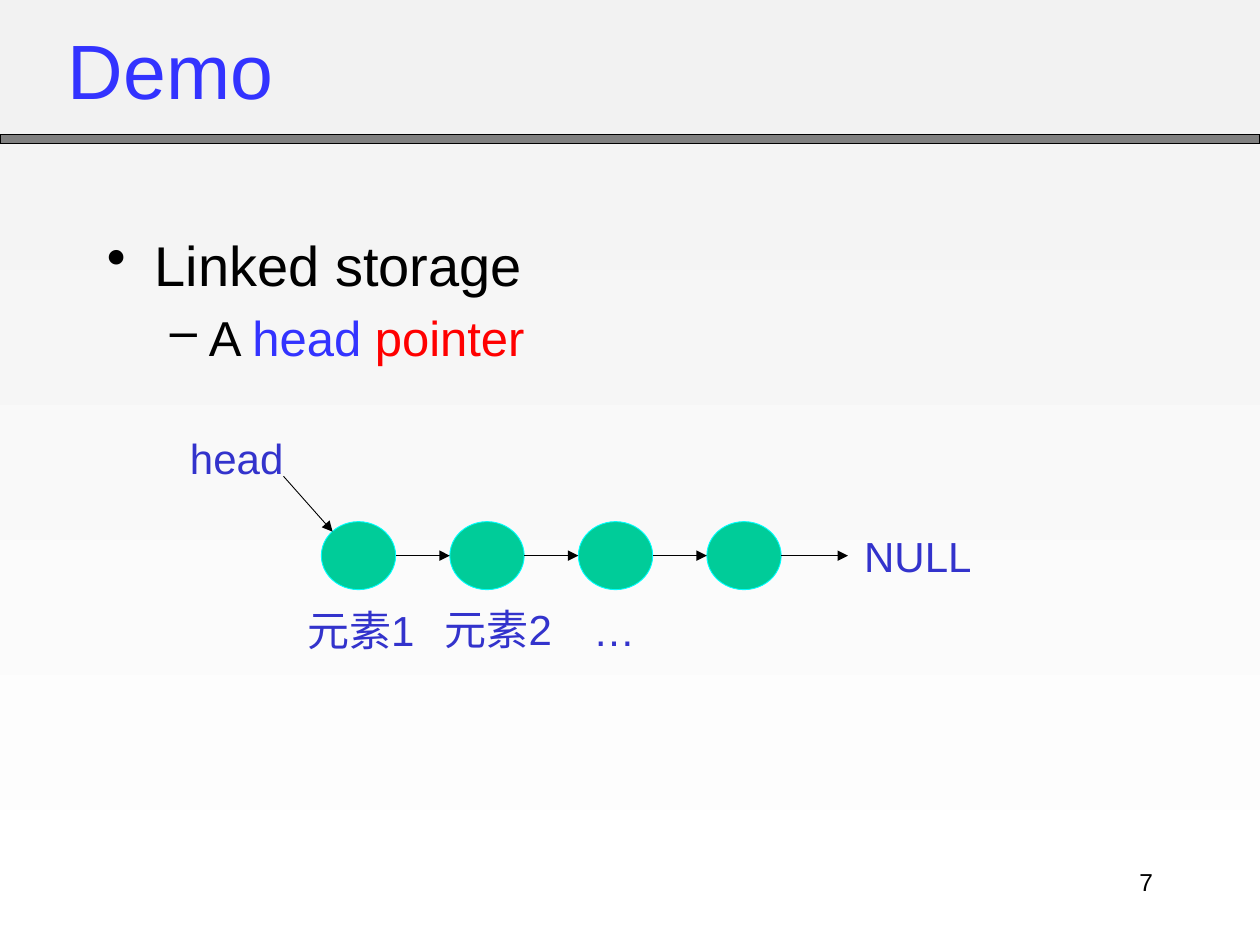
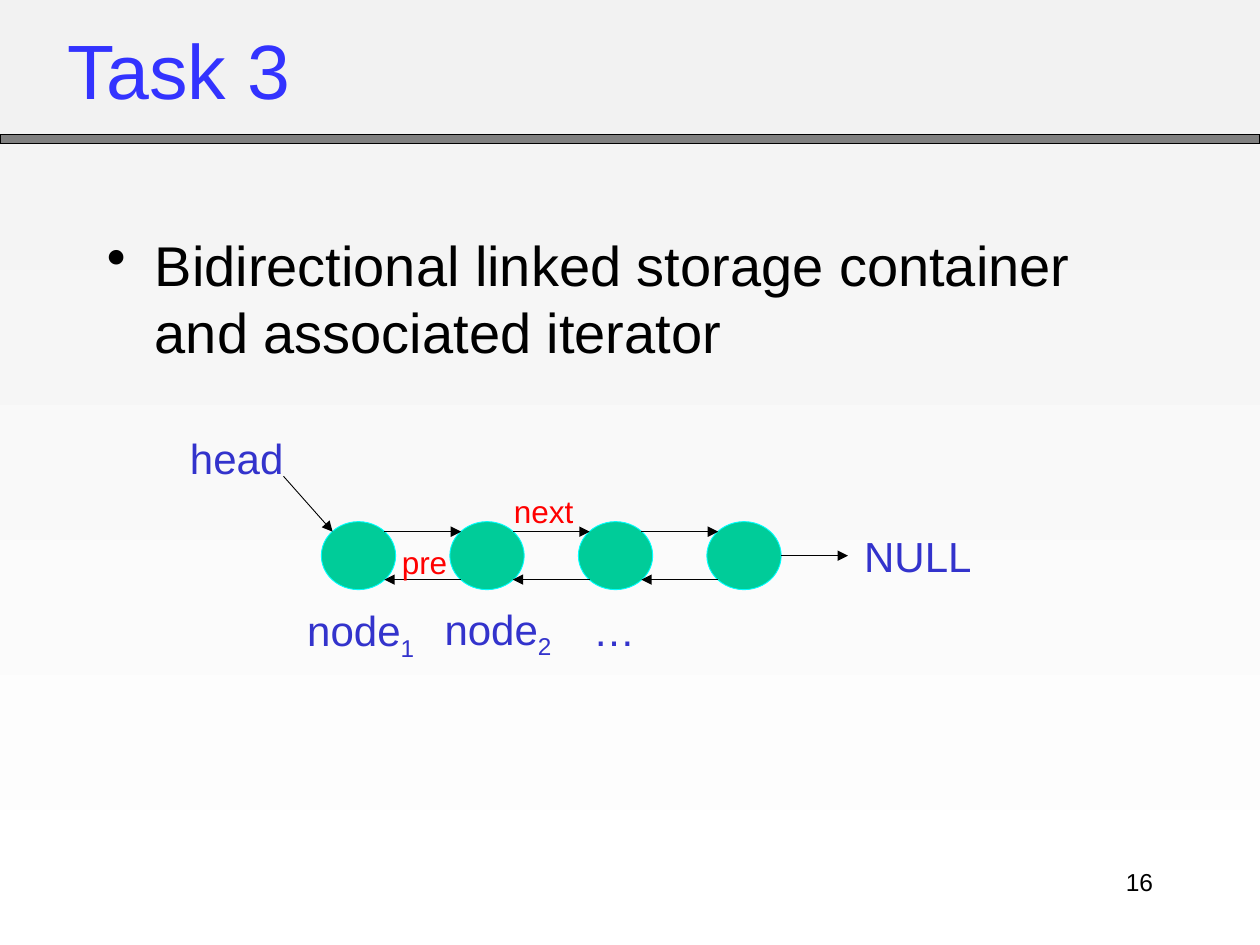
"""Two slides on linked storage, each with a chain of nodes."""
from dataclasses import dataclass

from lxml.etree import SubElement as Sub
from pptx import Presentation
from pptx.dml.color import RGBColor as Rgb
from pptx.enum.shapes import MSO_CONNECTOR as Conn, MSO_SHAPE as Kind
from pptx.enum.text import MSO_ANCHOR as Anchor, MSO_AUTO_SIZE as Fit, PP_ALIGN as Align
from pptx.oxml.ns import qn
from pptx.util import Inches, Pt


@dataclass(frozen=True)
class Theme:
    font: str = "Arial"
    black: str = "000000"
    blue: str = "3333FF"
    label: str = "3333CC"
    red: str = "FF0000"
    band: str = "808080"
    node: str = "00CC99"
    rim: str = "00FFFF"
    fade: tuple = ("F2F2F2", "FFFFFF")
    title: int = 44
    body: int = 32
    sub: int = 28
    name: int = 24
    tag: int = 18
    page: int = 14
    thin: float = 0.5


T = Theme()

SLIDES = [
    dict(
        title="Demo", page="7", double=False,
        points=[(0, [("Linked storage",)]),
                (1, [("A ",), ("head ", T.blue), ("pointer", T.red)])],
        names=[[("元素1",)], [("元素2",)], [("…",)]],
        tags=[],
    ),
    dict(
        title="Task 3", page="16", double=True,
        points=[(0, [("Bidirectional linked storage container and associated iterator",)])],
        names=[[("node",), ("1", T.label, -25)], [("node",), ("2", T.label, -25)], [("…",)]],
        tags=[("next", 3.98, 3.86), ("pre", 3.09, 4.26)],
    ),
]

LEVELS = [("•", 0.38, -0.38, T.body), ("–", 0.81, -0.31, T.sub)]
COUNT, LEFT, TOP, STEP = 4, 2.55, 4.14, 1.02
WIDE, HIGH = 0.59, 0.54
INSET, RISE = 0.09, 0.19
MID = TOP + HIGH / 2
NAMES = [(2.34, 4.75), (3.43, 4.74), (4.61, 4.75)]
LABEL, TAG = (1.33, 0.51), (0.69, 0.4)


def inches(box):
    return [Inches(n) for n in box]


def bullet(para, level):
    sign, margin, indent, _ = LEVELS[level]
    props = para._p.get_or_add_pPr()
    props.set("marL", str(Inches(margin)))
    props.set("indent", str(Inches(indent)))
    Sub(Sub(props, qn("a:spcBef")), qn("a:spcPct")).set("val", "20000")
    Sub(props, qn("a:buChar")).set("char", sign)


def write(slide, box, paras, size=T.name, color=T.label, align=Align.LEFT,
          anchor=Anchor.TOP, grow=False):
    frame = slide.shapes.add_textbox(*inches(box)).text_frame
    frame.word_wrap = True
    frame.vertical_anchor = anchor
    frame.auto_size = Fit.SHAPE_TO_FIT_TEXT if grow else Fit.NONE
    for num, (level, runs) in enumerate(paras):
        para = frame.add_paragraph() if num else frame.paragraphs[0]
        para.alignment = align
        if level is not None:
            bullet(para, level)
        for words, tint, base in ((*run, color, 0)[:3] if len(run) == 1
                                  else (*run, 0)[:3] for run in runs):
            run = para.add_run()
            run.text = words
            font = run.font
            font.name = T.font
            font.size = Pt(size if level is None else LEVELS[level][3])
            font.color.rgb = Rgb.from_string(tint)
            if base:
                font._element.set("baseline", str(base * 1000))


def label(slide, spot, runs, area=LABEL, **style):
    write(slide, (*spot, *area), [(None, runs)], grow=True, **style)


def shape(slide, kind, box, fill, line, width):
    part = slide.shapes.add_shape(kind, *inches(box))
    part.shadow.inherit = False
    part.fill.solid()
    part.fill.fore_color.rgb = Rgb.from_string(fill)
    part.line.color.rgb = Rgb.from_string(line)
    part.line.width = Pt(width)


def arrow(slide, *ends):
    link = slide.shapes.add_connector(Conn.STRAIGHT, *inches(ends))
    link.line.color.rgb = Rgb.from_string(T.black)
    link.line.width = Pt(T.thin)
    Sub(link.line._get_or_add_ln(), qn("a:tailEnd")).set("type", "triangle")
    Sub(link._element.spPr, qn("a:effectLst"))


def frame(slide, title, page):
    fill = slide.background.fill
    fill.gradient()
    fill.gradient_angle = 270
    for stop, tint in zip(fill.gradient_stops, T.fade):
        stop.color.rgb = Rgb.from_string(tint)
    shape(slide, Kind.RECTANGLE, (0, 1.07, 10, 0.07), T.band, T.black, 0.75)
    write(slide, (0.44, 0.1, 8.5, 0.89), [(None, [(title,)])],
          size=T.title, color=T.blue, anchor=Anchor.MIDDLE)
    write(slide, (7.17, 6.83, 2.08, 0.5), [(None, [(page,)])],
          size=T.page, color=T.black, align=Align.RIGHT)


def chain(slide, double):
    lefts = [LEFT + num * STEP for num in range(COUNT)]
    for left in lefts:
        shape(slide, Kind.OVAL, (left, TOP, WIDE, HIGH), T.node, T.rim, T.thin)
    for left, after in zip(lefts, lefts[1:]):
        start, end = left + WIDE, after
        if double:
            start, end = start - INSET, end + INSET
            arrow(slide, start, MID - RISE, end, MID - RISE)
            arrow(slide, end, MID + RISE, start, MID + RISE)
        else:
            arrow(slide, start, MID, end, MID)
    arrow(slide, lefts[-1] + WIDE, MID, 6.73, MID)
    arrow(slide, 2.25, 3.78, LEFT + INSET, MID - RISE)
    label(slide, (6.76, 4.16), [("NULL",)])
    label(slide, (1.41, 3.38), [("head",)])


def main():
    deck = Presentation()
    deck.slide_width, deck.slide_height = Inches(10), Inches(7.5)
    for item in SLIDES:
        slide = deck.slides.add_slide(deck.slide_layouts[6])
        frame(slide, item["title"], item["page"])
        write(slide, (0.75, 1.78, 8.5, 4.5), item["points"], color=T.black)
        chain(slide, item["double"])
        for spot, runs in zip(NAMES, item["names"]):
            label(slide, spot, runs)
        for words, left, top in item["tags"]:
            label(slide, (left, top), [(words,)], TAG, size=T.tag, color=T.red)
    deck.save("out.pptx")


if __name__ == "__main__":
    main()
